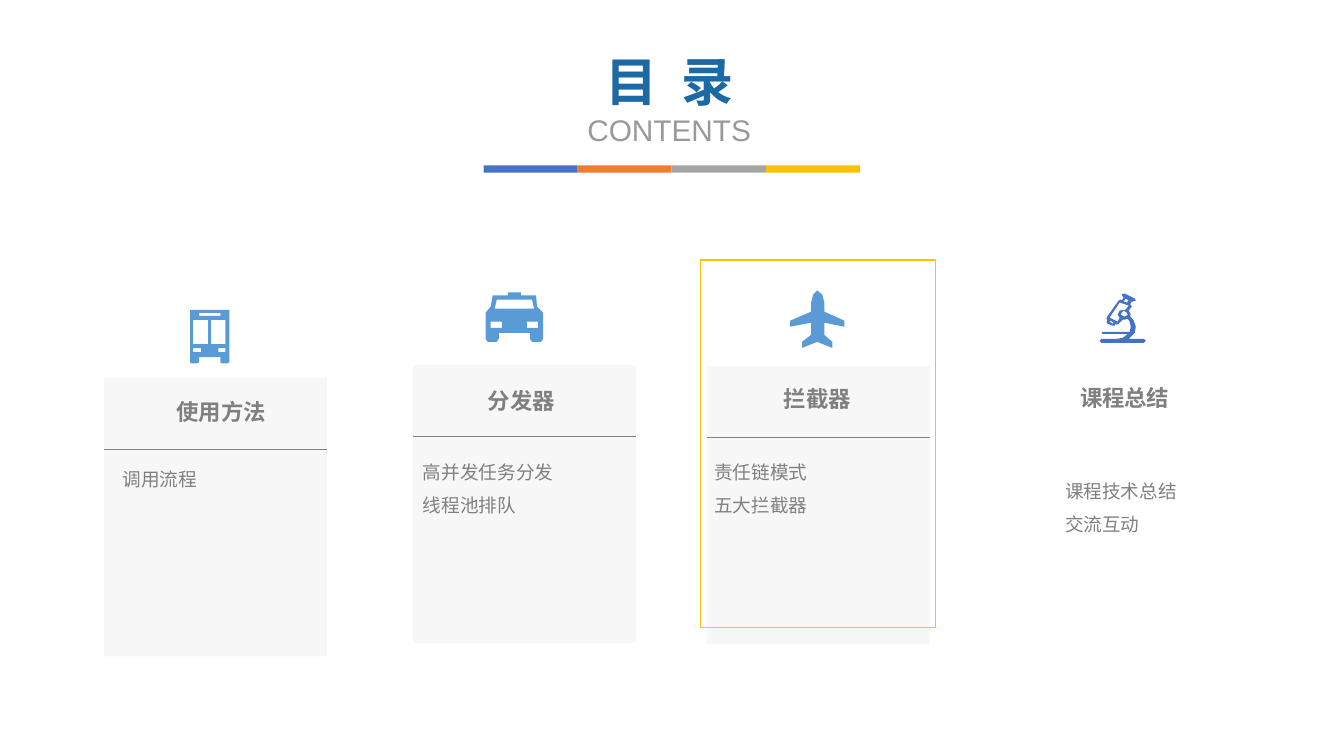
"""Build the contents slide: a title, a colour bar and four topics with icons."""
import pptx
import pptx.dml.color
import pptx.enum.shapes
import pptx.enum.text
import pptx.util
from lxml import etree
from pptx.oxml.ns import qn

Cm = pptx.util.Cm
RECT = pptx.enum.shapes.MSO_SHAPE.RECTANGLE
STRAIGHT = pptx.enum.shapes.MSO_CONNECTOR.STRAIGHT
CENTER = pptx.enum.text.PP_ALIGN.CENTER
LEFT = pptx.enum.text.PP_ALIGN.LEFT


def box(l, t, r, b):
    return [(l, t), (r, t), (r, b), (l, b)]


BUS = [
    [(1, 53), (7, 53), (9, 52), (9, 47), (30, 47), (30, 52), (31, 53), (37, 53), (39, 52),
     (39, 0), (0, 0), (0, 52)],
    box(28, 38, 35, 42), box(21, 10, 35, 34), box(9, 3, 30, 6),
    box(3, 10, 18, 34), box(3, 38, 11, 42),
]
CAR = [
    [(2, 49), (11, 49), (13, 46), (13, 40), (44, 40), (44, 46), (46, 49), (55, 49), (57, 46),
     (57, 20), (51, 14), (50, 3), (35, 3), (35, 0), (22, 0), (22, 3), (7, 3), (5, 14),
     (0, 20), (0, 46)],
    box(41, 29, 52, 35), [(11, 7), (46, 7), (48, 16), (9, 16)], box(5, 29, 16, 35),
]
PLANE = [
    [(27, 0), (23, 4), (21, 12), (21, 21), (0, 30), (0, 36), (21, 32), (21, 44), (12, 51),
     (12, 57), (27, 51), (42, 57), (42, 51), (34, 44), (34, 32), (54, 36), (54, 30),
     (34, 21), (34, 12), (32, 4)],
]
MICROSCOPE = [
    [(30, 23), (34, 28), (36, 34), (35, 40), (30, 45), (29, 46), (44, 46), (46, 48), (44, 50),
     (2, 50), (0, 48), (2, 46), (17, 46), (23, 45), (27, 42), (28, 41), (3, 41), (2, 40),
     (3, 39), (30, 39), (31, 34), (30, 29), (28, 26), (25, 27), (23, 27), (19, 31), (17, 32),
     (16, 31), (15, 33), (13, 33), (8, 31), (7, 29), (8, 27), (7, 27), (7, 25), (19, 8),
     (21, 7), (22, 8), (24, 5), (23, 4), (22, 2), (25, 1), (35, 6), (36, 8), (33, 9), (32, 9),
     (30, 12), (31, 12), (32, 14), (29, 18), (31, 22)],
    [(29, 8), (26, 6), (24, 9), (27, 10)],
    [(26, 17), (29, 13), (20, 10), (10, 25), (18, 29), (20, 25), (18, 22), (20, 18)],
    [(27, 20), (24, 18), (22, 20), (21, 22), (25, 24), (27, 23), (28, 22)],
    [(11, 28), (10, 29), (13, 31), (14, 30)],
]

TITLE_FORMAT = {"size": 37.3, "name": "Roboto Condensed", "color": "1D69A3", "bold": True}
SUBTITLE_FORMAT = {"size": 21.3, "name": "Arial", "color": "999999", "bold": False}
HEADING_FORMAT = {"size": 16, "name": "Roboto Condensed", "color": "808080", "bold": True}
BODY_FORMAT = {"size": 13.3, "name": "Roboto Condensed", "color": "808080", "bold": False}

TITLE = [("目  录", TITLE_FORMAT), ("CONTENTS", SUBTITLE_FORMAT)]
TITLE_AREA = (14.12, 1.12, 5.49, 2.77)
BAR_COLORS = ["4472C4", "ED7D31", "A5A5A5", "FFC000"]
BAR_LEFT, BAR_TOP, BAR_W, BAR_H = 12.19, 4.17, 2.37, 0.18
HIGHLIGHT_AREA = (17.65, 6.55, 5.92, 9.27)
CARD_W, CARD_H, RULE_DROP = 5.62, 7.01, 1.8

TOPICS = [
    {"heading": "使用方法", "heading_area": (3.15, 9.91, 4.85, 0.94), "card": (2.62, 9.53),
     "body": ["调用流程"], "body_area": (2.84, 11.38, 4.88, 1.02),
     "icon": BUS, "icon_at": (4.79, 7.81), "icon_color": "5B9BD5"},
    {"heading": "分发器", "heading_area": (10.46, 9.63, 5.36, 0.94), "card": (10.41, 9.2),
     "body": ["高并发任务分发", "线程池排队"], "body_area": (10.41, 11.2, 6.78, 1.85),
     "icon": CAR, "icon_at": (12.24, 7.37), "icon_color": "5B9BD5"},
    {"heading": "拦截器", "heading_area": (19.23, 9.58, 2.74, 0.94), "card": (17.81, 9.22),
     "body": ["责任链模式", "五大拦截器"], "body_area": (17.75, 11.2, 6.78, 1.85),
     "icon": PLANE, "icon_at": (19.91, 7.32), "icon_color": "5B9BD5"},
    {"heading": "课程总结", "heading_area": (26.7, 9.55, 3.29, 0.94), "card": None,
     "body": ["课程技术总结", "交流互动"], "body_area": (26.59, 11.68, 4, 1.96),
     "icon": MICROSCOPE, "icon_at": (27.71, 7.37), "icon_color": "4472C4"},
]


def rgb(value):
    return pptx.dml.color.RGBColor.from_string(value)


def cm(values):
    return [Cm(v) for v in values]


def paint(sp, color):
    sp.shadow.inherit = False
    sp.fill.solid()
    sp.fill.fore_color.rgb = rgb(color)
    sp.line.fill.background()


def write(sp, lines, align, spacing=1):
    tf = sp.text_frame
    settings = {"word_wrap": True, "auto_size": pptx.enum.text.MSO_AUTO_SIZE.NONE,
                "vertical_anchor": pptx.enum.text.MSO_ANCHOR.TOP}
    for key, value in settings.items():
        setattr(tf, key, value)
    for i, (text, fmt) in enumerate(lines):
        p = tf.add_paragraph() if i else tf.paragraphs[0]
        p.alignment, p.line_spacing = align, spacing
        r = p.add_run()
        r.text = text
        for key, value in fmt.items():
            if key == "color":
                r.font.color.rgb = rgb(value)
            else:
                setattr(r.font, key, pptx.util.Pt(value) if key == "size" else value)


def add_text(s, area, lines, align, spacing=1):
    write(s.shapes.add_textbox(*cm(area)), lines, align, spacing)


def add_card(s, left, top):
    sp = s.shapes.add_shape(RECT, *cm((left, top, CARD_W, CARD_H)))
    paint(sp, "D9D9D9")
    color = sp.fill._xPr.find(qn("a:solidFill"))[0]
    etree.SubElement(color, qn("a:alpha"), val="20000")
    y = top + RULE_DROP
    rule = s.shapes.add_connector(STRAIGHT, *cm((left, y, left + CARD_W, y)))
    rule.line.color.rgb = rgb("808080")
    rule.line.width = pptx.util.Pt(0.5)
    etree.SubElement(rule._element.spPr, qn("a:effectLst"))


def add_icon(s, outlines, at, color):
    (x, y), *rest = outlines[0]
    builder = s.shapes.build_freeform(x, y, scale=Cm(0.0254))
    builder.add_line_segments(rest)
    for (x, y), *rest in outlines[1:]:
        builder.move_to(x, y)
        builder.add_line_segments(rest)
    paint(builder.convert_to_shape(*cm(at)), color)


def main():
    prs = pptx.Presentation()
    prs.slide_width, prs.slide_height = cm((33.87, 19.05))
    s = prs.slides.add_slide(prs.slide_layouts[5])

    title = s.shapes.title
    title.left, title.top, title.width, title.height = cm(TITLE_AREA)
    write(title, TITLE, CENTER)

    for i, color in enumerate(BAR_COLORS):
        area = (BAR_LEFT + i * BAR_W, BAR_TOP, BAR_W, BAR_H)
        paint(s.shapes.add_shape(RECT, *cm(area)), color)

    highlight = s.shapes.add_shape(RECT, *cm(HIGHLIGHT_AREA))
    highlight.shadow.inherit = False
    highlight.fill.background()
    highlight.line.color.rgb = rgb("FFC000")
    highlight.line.width = pptx.util.Pt(1)

    for topic in TOPICS:
        if topic["card"]:
            add_card(s, *topic["card"])
        add_icon(s, topic["icon"], topic["icon_at"], topic["icon_color"])
        add_text(s, topic["heading_area"], [(topic["heading"], HEADING_FORMAT)], CENTER)
        add_text(s, topic["body_area"], [(t, BODY_FORMAT) for t in topic["body"]], LEFT, 1.5)

    prs.save("out.pptx")


if __name__ == "__main__":
    main()
